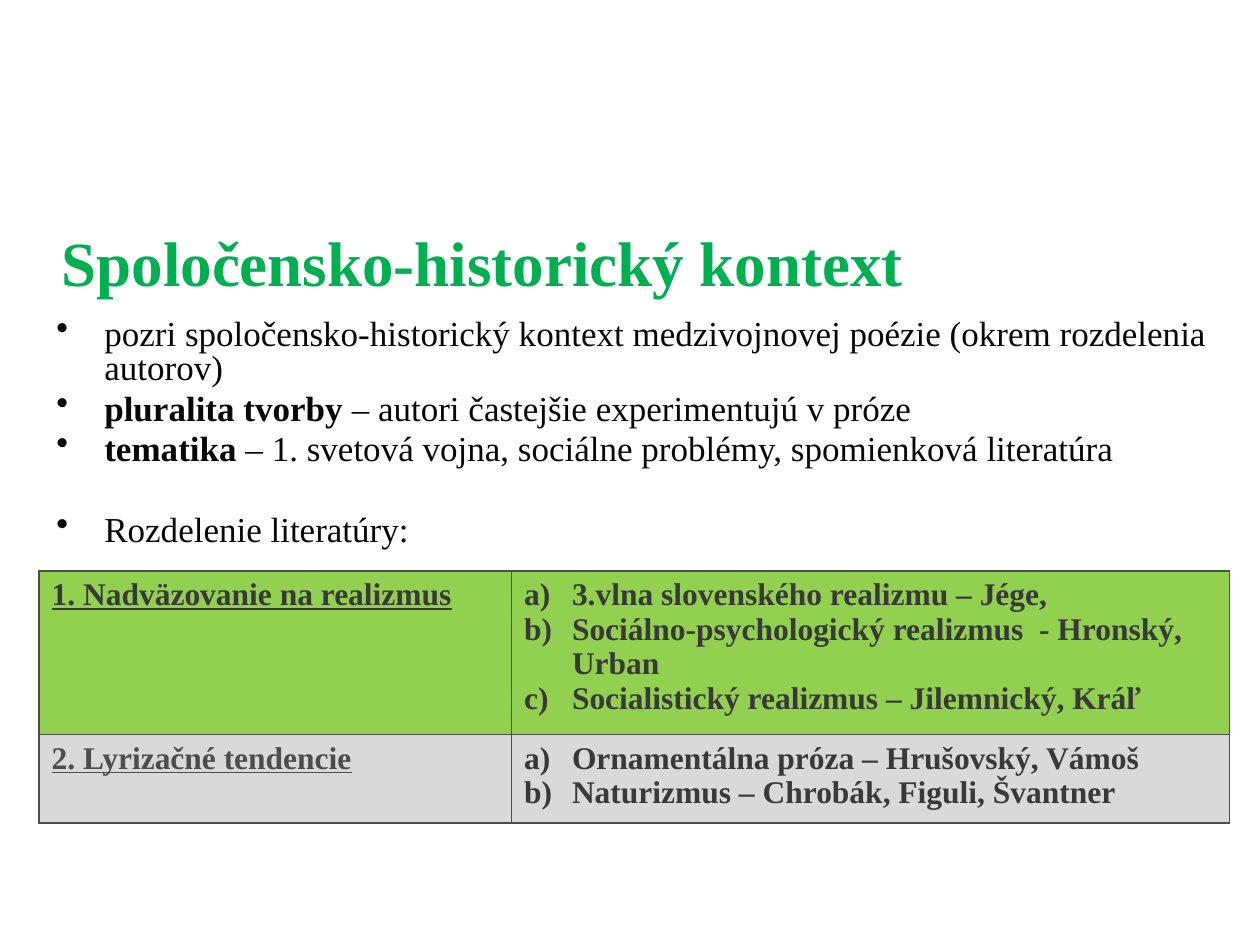
from dataclasses import dataclass

from lxml import etree
from pptx import Presentation
from pptx.dml.color import RGBColor
from pptx.enum import text as t
from pptx.oxml import ns
from pptx.util import Inches, Pt

FONT = "Times New Roman"
GREEN = RGBColor(0x00, 0xB0, 0x50)
BLACK = RGBColor(0x08, 0x08, 0x08)
DARK = RGBColor(0x39, 0x39, 0x39)
GREY = RGBColor(0x4D, 0x4D, 0x4D)
LIME = RGBColor(0x92, 0xD0, 0x50)
SILVER = RGBColor(0xD9, 0xD9, 0xD9)
INDENT = Inches(0.38)


@dataclass
class Point:
    text: str
    lead: str = ""  # bold opening words
    before: float = 4


@dataclass
class Movement:
    name: str
    branches: list[str]
    fill: RGBColor
    name_color: RGBColor
    height: float


POINTS = [
    Point("pozri spoločensko-historický kontext medzivojnovej poézie (okrem rozdelenia autorov)"),
    Point("– autori častejšie experimentujú v próze", "pluralita tvorby "),
    Point(" – 1. svetová vojna, sociálne problémy, spomienková literatúra", "tematika"),
    Point("Rozdelenie literatúry:", before=27),
]
MOVEMENTS = [
    Movement("1. Nadväzovanie na realizmus",
             ["3.vlna slovenského realizmu – Jége,",
              "Sociálno-psychologický realizmus  - Hronský, Urban",
              "Socialistický realizmus – Jilemnický, Kráľ"],
             LIME, DARK, 1.21),
    Movement("2. Lyrizačné tendencie",
             ["Ornamentálna próza – Hrušovský, Vámoš",
              "Naturizmus – Chrobák, Figuli, Švantner"],
             SILVER, GREY, 0.65),
]


def set_font(paragraph, size: float, color: RGBColor, bold=None, underline=None) -> None:
    font = paragraph.font
    font.name, font.size = FONT, Pt(size)
    font.bold, font.underline = bold, underline
    font.color.rgb = color


def add_marker(paragraph, tag: str, **attributes: str) -> None:
    """Hang the paragraph behind a bullet or a list letter."""
    properties = paragraph._p.get_or_add_pPr()
    properties.set("marL", str(INDENT))
    properties.set("indent", str(-INDENT))
    marker = etree.Element(ns.qn(tag), attributes)
    defaults = properties.find(ns.qn("a:defRPr"))
    if defaults is None:
        properties.append(marker)
    else:
        defaults.addprevious(marker)


def add_text_frame(slide, left: float, top: float, width: float, height: float):
    frame = slide.shapes.add_textbox(
        Inches(left), Inches(top), Inches(width), Inches(height)).text_frame
    frame.word_wrap = True
    return frame


def add_point(paragraph, point: Point) -> None:
    if point.lead:
        lead = paragraph.add_run()
        lead.text, lead.font.bold = point.lead, True
    paragraph.add_run().text = point.text
    paragraph.line_spacing = 0.8
    paragraph.space_before = Pt(point.before)
    set_font(paragraph, 20, BLACK)
    add_marker(paragraph, "a:buChar", char="•")


def style_cell(cell, fill: RGBColor) -> None:
    properties = cell._tc.get_or_add_tcPr()
    for side in ("a:lnL", "a:lnR", "a:lnT", "a:lnB"):
        line = etree.SubElement(properties, ns.qn(side), w=str(Pt(1)))
        solid = etree.SubElement(line, ns.qn("a:solidFill"))
        etree.SubElement(solid, ns.qn("a:srgbClr"), val=str(GREY))
    cell.fill.solid()
    cell.fill.fore_color.rgb = fill


def fill_row(name_cell, branch_cell, movement: Movement) -> None:
    for cell in (name_cell, branch_cell):
        style_cell(cell, movement.fill)
    name_cell.text = movement.name
    set_font(name_cell.text_frame.paragraphs[0], 18, movement.name_color, True, True)
    branch_cell.text = "\n".join(movement.branches)
    for paragraph in branch_cell.text_frame.paragraphs:
        set_font(paragraph, 18, DARK, True)
        add_marker(paragraph, "a:buAutoNum", type="alphaLcParenR")


def main() -> None:
    deck = Presentation()
    deck.slide_width, deck.slide_height = Inches(10), Inches(7.5)
    slide = deck.slides.add_slide(deck.slide_layouts[6])

    # Heading
    heading = add_text_frame(slide, 0.39, 1.72, 10, 0.71)
    heading.vertical_anchor = t.MSO_ANCHOR.MIDDLE
    heading.text = "Spoločensko-historický kontext"
    set_font(heading.paragraphs[0], 36, GREEN, True)

    # Context points
    context = add_text_frame(slide, 0.35, 2.49, 9.37, 4.8)
    for index, point in enumerate(POINTS):
        add_point(context.add_paragraph() if index else context.paragraphs[0], point)

    # Division of literature
    division = slide.shapes.add_table(
        len(MOVEMENTS), 2, Inches(0.31), Inches(4.53), Inches(9.45),
        Inches(sum(m.height for m in MOVEMENTS))).table
    for column, width in zip(division.columns, (3.75, 5.7)):
        column.width = Inches(width)
    for row, movement in zip(division.rows, MOVEMENTS):
        row.height = Inches(movement.height)
        fill_row(*row.cells, movement)

    deck.save("out.pptx")


if __name__ == "__main__":
    main()
